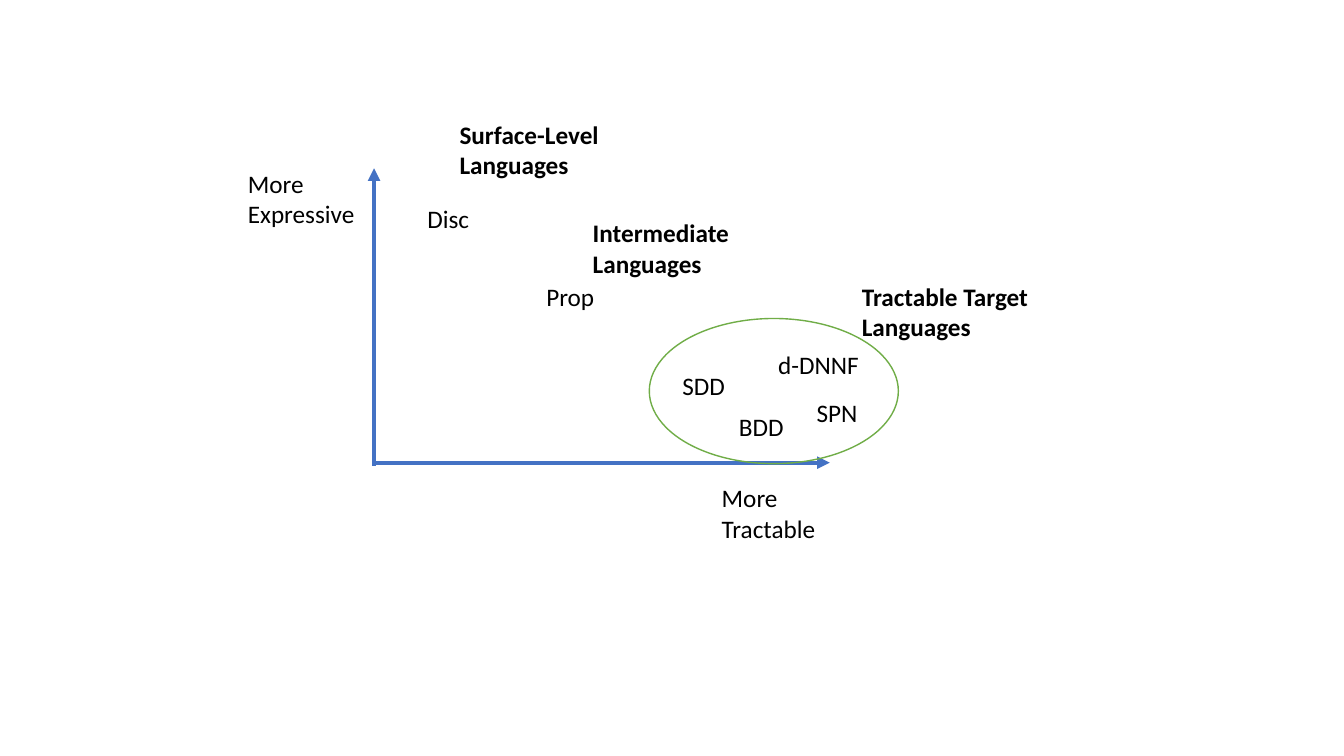
from lxml import etree
from pptx import Presentation
from pptx.dml.color import RGBColor
from pptx.enum.shapes import MSO_CONNECTOR, MSO_SHAPE
from pptx.enum.text import MSO_AUTO_SIZE
from pptx.oxml.ns import qn
from pptx.util import Inches, Pt

STRAIGHT = MSO_CONNECTOR.STRAIGHT
ELLIPSE = MSO_SHAPE.OVAL
FIT_SHAPE = MSO_AUTO_SIZE.SHAPE_TO_FIT_TEXT

AXES = [(3.71, 4.62, 3.71, 1.67), (3.69, 4.59, 8.23, 4.59)]
AXIS_LABELS = [
    ("More\nExpressive", 2.36, 1.62, 1.27),
    ("More\nTractable", 7.06, 4.74, 1.14),
]
LANGUAGES = [
    ("BDD", 7.23, 4.03, 0.65),
    ("SDD", 6.67, 3.62, 0.65),
    ("d-DNNF", 7.62, 3.42, 1.01),
    ("Prop", 5.32, 2.74, 0.68),
    ("Disc", 4.14, 1.97, 0.62),
    ("SPN", 8, 3.89, 0.65),
]
GROUP_HEADINGS = [
    ("Tractable Target\nLanguages", 8.45, 2.74, 1.86),
    ("Intermediate\nLanguages", 5.78, 2.11, 1.59),
    ("Surface-Level\nLanguages", 4.46, 1.13, 1.59),
]


def color(value):
    return RGBColor.from_string(value)


def write_text(text_frame, text, font="Calibri", size=18, fill="000000", bold=False):
    paragraph = text_frame.paragraphs[0]
    paragraph.text = text
    for run in paragraph.runs:
        run.font.name = font
        run.font.size = Pt(size)
        run.font.bold = bold
        run.font.color.rgb = color(fill)


class Diagram:
    axis_color = "4472C4"
    target_color = "70AD47"
    line_height = 0.31
    padding = 0.09

    def __init__(self, slide):
        self.slide = slide

    def arrow(self, x1, y1, x2, y2):
        connector = self.slide.shapes.add_connector(
            STRAIGHT, Inches(x1), Inches(y1), Inches(x2), Inches(y2)
        )
        connector.line.color.rgb = color(self.axis_color)
        connector.line.width = Pt(3)
        line = connector.line._get_or_add_ln()
        etree.SubElement(line, qn("a:tailEnd"), type="triangle")
        etree.SubElement(connector._element.spPr, qn("a:effectLst"))

    def label(self, text, left, top, width, bold=False, wrap=True):
        height = self.padding + self.line_height * (text.count("\n") + 1)
        box = self.slide.shapes.add_textbox(
            Inches(left), Inches(top), Inches(width), Inches(height)
        )
        box.text_frame.word_wrap = wrap
        box.text_frame.auto_size = FIT_SHAPE
        write_text(box.text_frame, text, bold=bold)

    def ellipse(self, left, top, width, height):
        shape = self.slide.shapes.add_shape(
            ELLIPSE, Inches(left), Inches(top), Inches(width), Inches(height)
        )
        shape.shadow.inherit = False
        shape.fill.background()
        shape.line.color.rgb = color(self.target_color)
        shape.line.width = Pt(1)


def main():
    presentation = Presentation()
    presentation.slide_width = Inches(13.33)
    presentation.slide_height = Inches(7.5)
    diagram = Diagram(presentation.slides.add_slide(presentation.slide_layouts[6]))

    for axis in AXES:
        diagram.arrow(*axis)
    for label in AXIS_LABELS + LANGUAGES:
        diagram.label(*label)
    diagram.ellipse(6.44, 3.16, 2.47, 1.44)
    for heading in GROUP_HEADINGS:
        diagram.label(*heading, bold=True, wrap=False)

    presentation.save("out.pptx")


if __name__ == "__main__":
    main()
